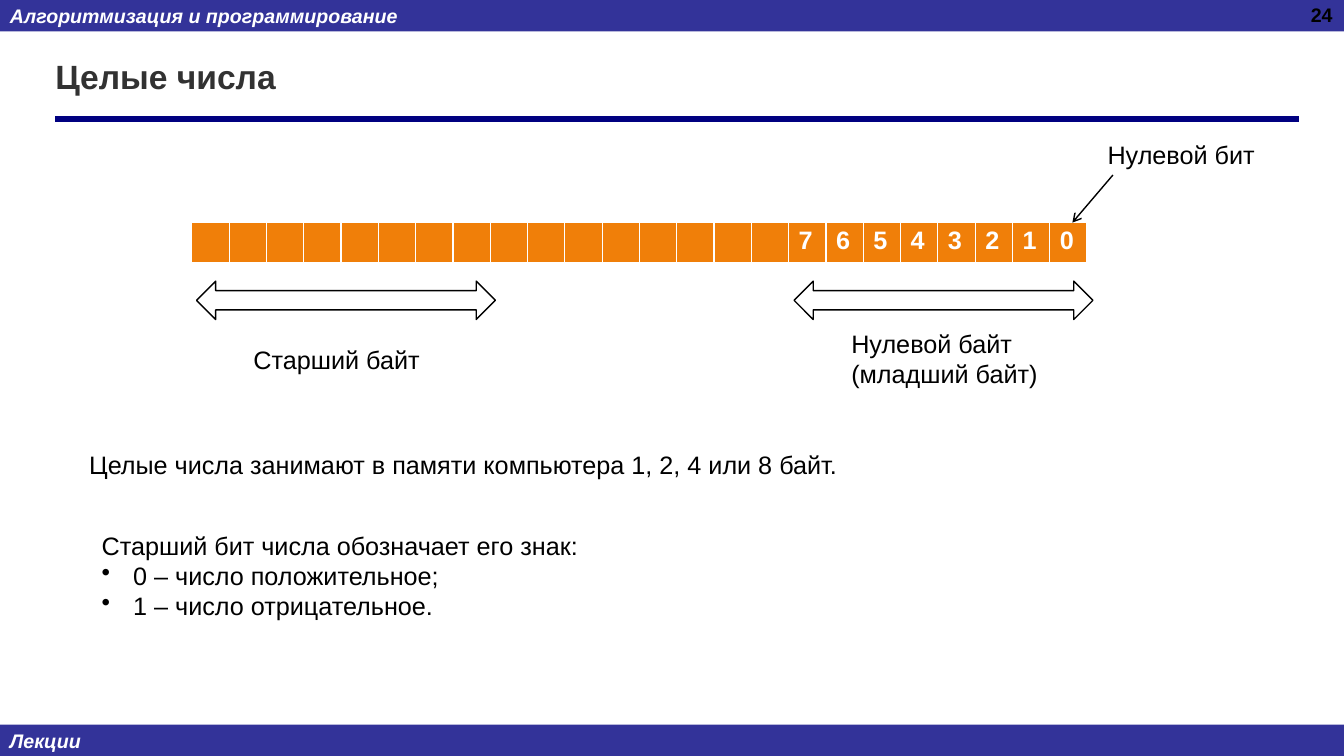
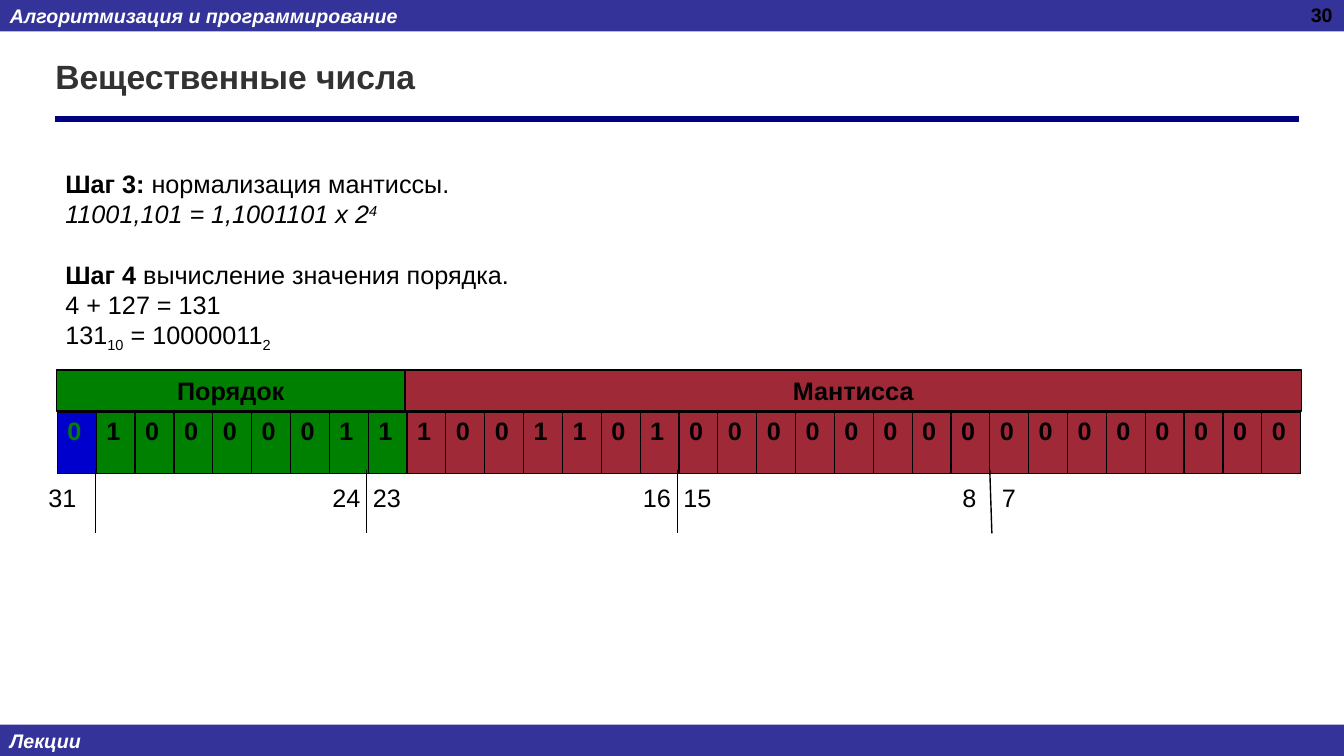
from dataclasses import dataclass

from lxml import etree
from pptx import Presentation
from pptx.dml.color import RGBColor
from pptx.enum.shapes import MSO_CONNECTOR, MSO_SHAPE
from pptx.enum.text import MSO_ANCHOR, PP_ALIGN
from pptx.oxml.ns import qn
from pptx.util import Pt

LINE = MSO_CONNECTOR.STRAIGHT
RECT, BYTE_ARROW = MSO_SHAPE.RECTANGLE, MSO_SHAPE.LEFT_RIGHT_ARROW
TOP, MIDDLE = MSO_ANCHOR.TOP, MSO_ANCHOR.MIDDLE
LEFT, CENTER, RIGHT = PP_ALIGN.LEFT, PP_ALIGN.CENTER, PP_ALIGN.RIGHT

FONT = "Arial"
WIDTH, HEIGHT = 960, 540
BLACK, WHITE, DARK = "000000", "FFFFFF", "323232"
BAND, NAVY, ORANGE = "333399", "000080", "F07F09"
BLUE, GREEN, RED = "0000CC", "008000", "9F2936"
BAND_H = 22.4


@dataclass(frozen=True)
class Box:
    x: float
    y: float
    w: float
    h: float

    def emu(self) -> tuple:
        return Pt(self.x), Pt(self.y), Pt(self.w), Pt(self.h)


@dataclass(frozen=True)
class Style:
    size: float = 18
    color: str = BLACK
    bold: bool = False
    italic: bool = False
    align: int = LEFT
    anchor: int = TOP


@dataclass(frozen=True)
class Run:
    text: str
    bold: bool = False
    shift: int = 0


@dataclass(frozen=True)
class Para:
    runs: tuple
    bullet: bool = False
    italic: bool = False
    before: float = 0


@dataclass(frozen=True)
class Bit:
    text: str
    fill: str
    color: str


BODY = Style()
BAND_TEXT = Style(14, WHITE, True, True, anchor=MIDDLE)
TITLE = Style(24, DARK, True, anchor=MIDDLE)
NUMBER = Style(14, bold=True, align=RIGHT)
FIELD = Style(bold=True, align=CENTER)


def rgb(color: str) -> RGBColor:
    return RGBColor.from_string(color)


def set_font(p, style: Style) -> None:
    f = p.font
    f.name, f.size = FONT, Pt(style.size)
    f.bold, f.italic = style.bold, style.italic
    f.color.rgb = rgb(style.color)
    p.alignment = style.align


def set_bullet(p) -> None:
    pPr = p._p.get_or_add_pPr()
    pPr.set("marL", str(Pt(22.5)))
    pPr.set("indent", str(-Pt(22.5)))
    bullet = etree.Element(qn("a:buChar"), char="•")
    pPr.insert_element_before(bullet, "a:tabLst", "a:defRPr", "a:extLst")


def write(sp, paras: list[Para], style: Style) -> None:
    tf = sp.text_frame
    tf.word_wrap = True
    tf.vertical_anchor = style.anchor
    for i, para in enumerate(paras):
        p = tf.add_paragraph() if i else tf.paragraphs[0]
        set_font(p, style)
        if para.before:
            p.space_before = Pt(para.before)
        if para.italic:
            p.font.italic = True
        if para.bullet:
            set_bullet(p)
        for run in para.runs:
            r = p.add_run()
            r.text = run.text
            if run.bold:
                r.font.bold = True
            if run.shift:
                r._r.get_or_add_rPr().set("baseline", str(run.shift * 1000))


def add_text(s, box: Box, paras: list[Para], style: Style = BODY) -> None:
    write(s.shapes.add_textbox(*box.emu()), paras, style)


def plain(text: str) -> list[Para]:
    return [Para((Run(text),))]


def add_shape(s, kind: int, box: Box, fill: str = "", line: str = ""):
    sp = s.shapes.add_shape(kind, *box.emu())
    sp.shadow.inherit = False
    if fill:
        sp.fill.solid()
        sp.fill.fore_color.rgb = rgb(fill)
    else:
        sp.fill.background()
    if line:
        sp.line.color.rgb = rgb(line)
        sp.line.width = Pt(1)
    else:
        sp.line.fill.background()
    return sp


def add_line(s, x1: float, y1: float, x2: float, y2: float,
             color: str = BLACK, width: float = 1, arrow: bool = False) -> None:
    c = s.shapes.add_connector(LINE, Pt(x1), Pt(y1), Pt(x2), Pt(y2))
    c.line.color.rgb = rgb(color)
    c.line.width = Pt(width)
    if arrow:
        etree.SubElement(c.line._get_or_add_ln(), qn("a:tailEnd"), type="arrow")
    etree.SubElement(c._element.spPr, qn("a:effectLst"))


def set_borders(cell, color: str) -> None:
    tcPr = cell._tc.get_or_add_tcPr()
    for side in ("L", "R", "T", "B"):
        ln = etree.SubElement(tcPr, qn(f"a:ln{side}"), w=str(Pt(1)))
        fill = etree.SubElement(ln, qn("a:solidFill"))
        etree.SubElement(fill, qn("a:srgbClr"), val=color)


def add_bits(s, box: Box, bits: list[Bit], border: str) -> None:
    table = s.shapes.add_table(1, len(bits), *box.emu()).table
    table.horz_banding = False
    for i, bit in enumerate(bits):
        table.columns[i].width = Pt(box.w / len(bits))
        cell = table.cell(0, i)
        set_borders(cell, border)
        cell.fill.solid()
        cell.fill.fore_color.rgb = rgb(bit.fill)
        cell.text = bit.text
        set_font(cell.text_frame.paragraphs[0], Style(color=bit.color, bold=True))


def add_slide(prs, title: str, number: int):
    s = prs.slides.add_slide(prs.slide_layouts[6])
    bands = ((0, "Алгоритмизация и программирование"), (HEIGHT - BAND_H, "Лекции"))
    for y, text in bands:
        band = add_shape(s, RECT, Box(0, y, WIDTH, BAND_H), BAND)
        write(band, plain(text), BAND_TEXT)
    add_line(s, 39.6, 85, 928, 85, NAVY, 4.5)
    add_text(s, Box(32.4, 24, 879, 61), plain(title), TITLE)
    add_text(s, Box(735, -1.4, 224, 37), plain(str(number)), NUMBER)
    return s


def integers(prs) -> None:
    s = add_slide(prs, "Целые числа", 24)
    digits = [""] * 16 + list("76543210")
    add_bits(s, Box(137, 158.5, 640, 29.2),
             [Bit(d, ORANGE, WHITE) for d in digits], WHITE)
    add_line(s, 795, 125, 766, 159, arrow=True)
    for x in (140.4, 567.2):
        add_shape(s, BYTE_ARROW, Box(x, 200.8, 213.5, 27.4), line=BLACK)
    labels = (
        (Box(784, 95.8, 121, 29), "Нулевой бит"),
        (Box(601, 231, 156, 51), "Нулевой байт (младший байт)"),
        (Box(174, 242.5, 138, 29), "Старший байт"),
        (Box(56.6, 317.5, 878, 29),
         "Целые числа занимают в памяти компьютера 1, 2, 4 или 8 байт."),
    )
    for box, text in labels:
        add_text(s, box, plain(text))
    add_text(s, Box(65.5, 375, 860, 73), [
        Para((Run("Старший бит числа обозначает его знак:"),)),
        Para((Run("0 – число положительное;"),), bullet=True),
        Para((Run("1 – число отрицательное."),), bullet=True),
    ])


def reals(prs) -> None:
    s = add_slide(prs, "Вещественные числа", 30)
    add_text(s, Box(39.6, 116.6, 883, 160), [
        Para((Run("Шаг 3:", bold=True), Run(" нормализация мантиссы."))),
        Para((Run("11001,101 = 1,1001101 х 2"), Run("4", shift=30)), italic=True),
        Para((Run("Шаг 4", bold=True), Run(" вычисление значения порядка.")),
             before=21.6),
        Para((Run("4 + 127 = 131"),)),
        Para((Run("131"), Run("10", shift=-25),
              Run(" = 10000011"), Run("2", shift=-25))),
    ])
    sign, exponent, mantissa = "0", "10000011", "1001101".ljust(23, "0")
    bits = [Bit(sign, BLUE, GREEN)]
    bits += [Bit(d, GREEN, BLACK) for d in exponent]
    bits += [Bit(d, RED, BLACK) for d in mantissa]
    add_bits(s, Box(41, 294.5, 888.5, 44), bits, BLACK)
    for x, text in ((27.4, "31"), (230.4, "24"), (259.2, "23"), (452.2, "16"),
                    (481, "15"), (680.4, "8"), (708.5, "7")):
        add_text(s, Box(x, 341.3, 41, 29), plain(text))
    for x, w, fill, text in ((289.4, 640.3, RED, "Мантисса"),
                             (40.3, 249.1, GREEN, "Порядок")):
        field = add_shape(s, RECT, Box(x, 264.2, w, 29.5), fill, BLACK)
        write(field, plain(text), FIELD)
    for x1, x2 in ((68.4, 68.4), (262, 262), (484, 484), (707, 708.5)):
        add_line(s, x1, 335.5, x2, 381)


def main() -> None:
    """Build the two lecture slides on number storage."""
    prs = Presentation()
    prs.slide_width, prs.slide_height = Pt(WIDTH), Pt(HEIGHT)
    integers(prs)
    reals(prs)
    prs.save("out.pptx")


if __name__ == "__main__":
    main()
